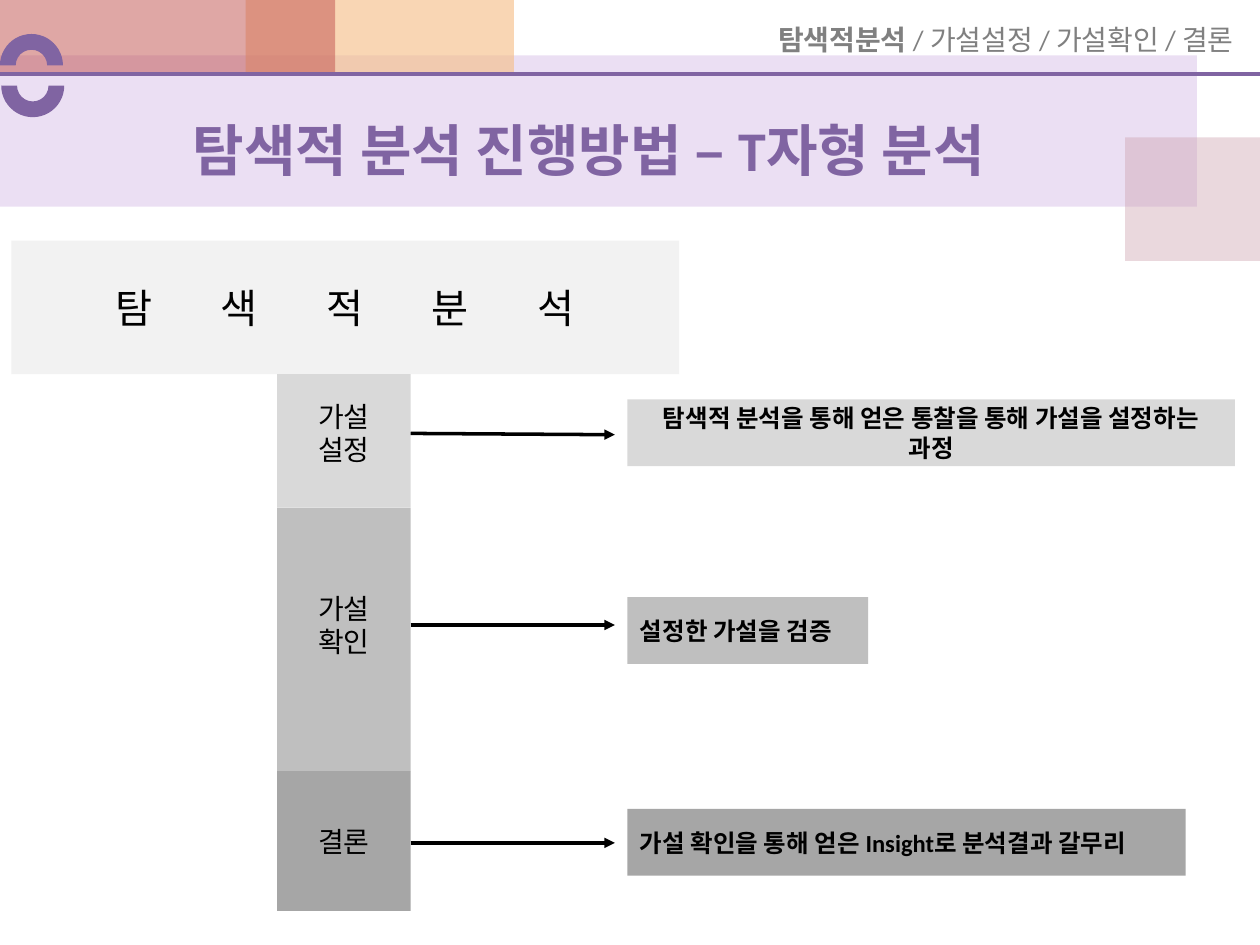
"""Builds the slide on exploratory analysis in the shape of a T."""
from lxml import etree
from pptx import Presentation, util as u
from pptx.dml.color import RGBColor
from pptx.enum import shapes, text
from pptx.oxml.ns import qn

CENTER, LEFT, RIGHT = text.PP_ALIGN.CENTER, text.PP_ALIGN.LEFT, text.PP_ALIGN.RIGHT
PURPLE, BLACK, GRAY = "8064A2", "000000", "808080"


def format_text(shape, size, color, bold=False, alignment=CENTER):
    frame = shape.text_frame
    frame.word_wrap = True
    frame.auto_size = text.MSO_AUTO_SIZE.NONE
    frame.vertical_anchor = text.MSO_ANCHOR.MIDDLE
    for paragraph in frame.paragraphs:
        paragraph.alignment = alignment
        for run in paragraph.runs:
            run.font.name = "Calibri"
            run.font.size = u.Pt(size)
            run.font.bold = bold
            run.font.color.rgb = RGBColor.from_string(color)


def add_block(box, color, opacity=100, kind=shapes.MSO_SHAPE.RECTANGLE):
    shape = slide.shapes.add_shape(kind, *map(u.Inches, box))
    shape.shadow.inherit = False
    shape.fill.solid()
    shape.fill.fore_color.rgb = RGBColor.from_string(color)
    shape.line.fill.background()
    if opacity < 100:
        color_element = shape.element.spPr.find(qn("a:solidFill"))[0]
        etree.SubElement(color_element, qn("a:alpha"), val=str(opacity * 1000))
    return shape


presentation = Presentation()
presentation.slide_width, presentation.slide_height = u.Inches(10), u.Inches(7.5)
slide = presentation.slides.add_slide(presentation.slide_layouts[5])

for box, color, opacity in [
    ((0, 0.44, 9.5, 1.2), "BF98D8", 30),
    ((8.93, 1.09, 1.07, 0.98), "CC9EAC", 40),
    ((1.95, 0, 2.13, 0.59), "F5BC83", 60),
    ((0, 0, 2.66, 0.59), "C0504D", 50),
]:
    add_block(box, color, opacity)

for left, top, rotation in [(0, 0.27, 0), (0.01, 0.43, 180)]:
    arc = add_block((left, top, 0.5, 0.5), PURPLE, kind=shapes.MSO_SHAPE.BLOCK_ARC)
    arc.rotation = rotation

crossbar = add_block((0.09, 1.91, 5.3, 1.06), "F2F2F2")
paragraph = crossbar.text_frame.paragraphs[0]
spaced_run, last_run = paragraph.add_run(), paragraph.add_run()
spaced_run.text, last_run.text = "탐 색 적 분 ", "석"
format_text(crossbar, 23, BLACK)
spaced_run.font._element.set("spc", "1700")

for top, height, color in [
    (2.97, 1.06, "D9D9D9"),
    (4.03, 2.09, "BFBFBF"),
    (6.12, 1.11, "A6A6A6"),
]:
    add_block((2.2, top, 1.06, height), color)

for top, height, label in [
    (3.08, 0.71, "가설\n설정"),
    (4.64, 0.64, "가설\n확인"),
    (6.12, 1.11, "결론"),
]:
    stage = slide.shapes.add_textbox(*map(u.Inches, (2.2, top, 1.06, height)))
    stage.text_frame.text = label
    format_text(stage, 16, BLACK)

for top, width, color, alignment, description in [
    (3.17, 4.82, "D9D9D9", CENTER, "탐색적 분석을 통해 얻은 통찰을 통해 가설을 설정하는 과정"),
    (4.74, 1.91, "BFBFBF", LEFT, "설정한 가설을 검증"),
    (6.42, 4.43, "A6A6A6", LEFT, "가설 확인을 통해 얻은 Insight로 분석결과 갈무리"),
]:
    note = add_block((4.98, top, width, 0.53), color)
    note.text_frame.text = description
    format_text(note, 14, BLACK, True, alignment)

for start_x, start_y, end_x, end_y, color, width, has_head in [
    (0, 0.59, 10, 0.59, PURPLE, 2.25, False),
    (3.26, 3.44, 4.88, 3.45, BLACK, 2, True),
    (3.26, 4.96, 4.88, 4.96, BLACK, 2, True),
    (3.26, 6.69, 4.88, 6.69, BLACK, 2, True),
]:
    connector = slide.shapes.add_connector(
        shapes.MSO_CONNECTOR.STRAIGHT, *map(u.Inches, (start_x, start_y, end_x, end_y)))
    connector.line.color.rgb = RGBColor.from_string(color)
    connector.line.width = u.Pt(width)
    properties = connector.element.spPr
    if has_head:
        etree.SubElement(properties.find(qn("a:ln")), qn("a:tailEnd"), type="triangle")
    etree.SubElement(properties, qn("a:effectLst"))

title = slide.shapes.title
title.left, title.top, title.width, title.height = map(u.Inches, (0.71, 0.83, 7.93, 0.7))
title.text_frame.text = "탐색적 분석 진행방법 – T자형 분석"
format_text(title, 32, PURPLE, True)
title.element.getparent().append(title.element)

breadcrumb = slide.shapes.add_textbox(*map(u.Inches, (5.29, 0.13, 4.6, 0.37)))
paragraph = breadcrumb.text_frame.paragraphs[0]
current_run, other_run = paragraph.add_run(), paragraph.add_run()
current_run.text, other_run.text = "탐색적분석 ", "/ 가설설정 / 가설확인 / 결론"
format_text(breadcrumb, 16, GRAY, alignment=RIGHT)
current_run.font.bold = True

presentation.save("out.pptx")
